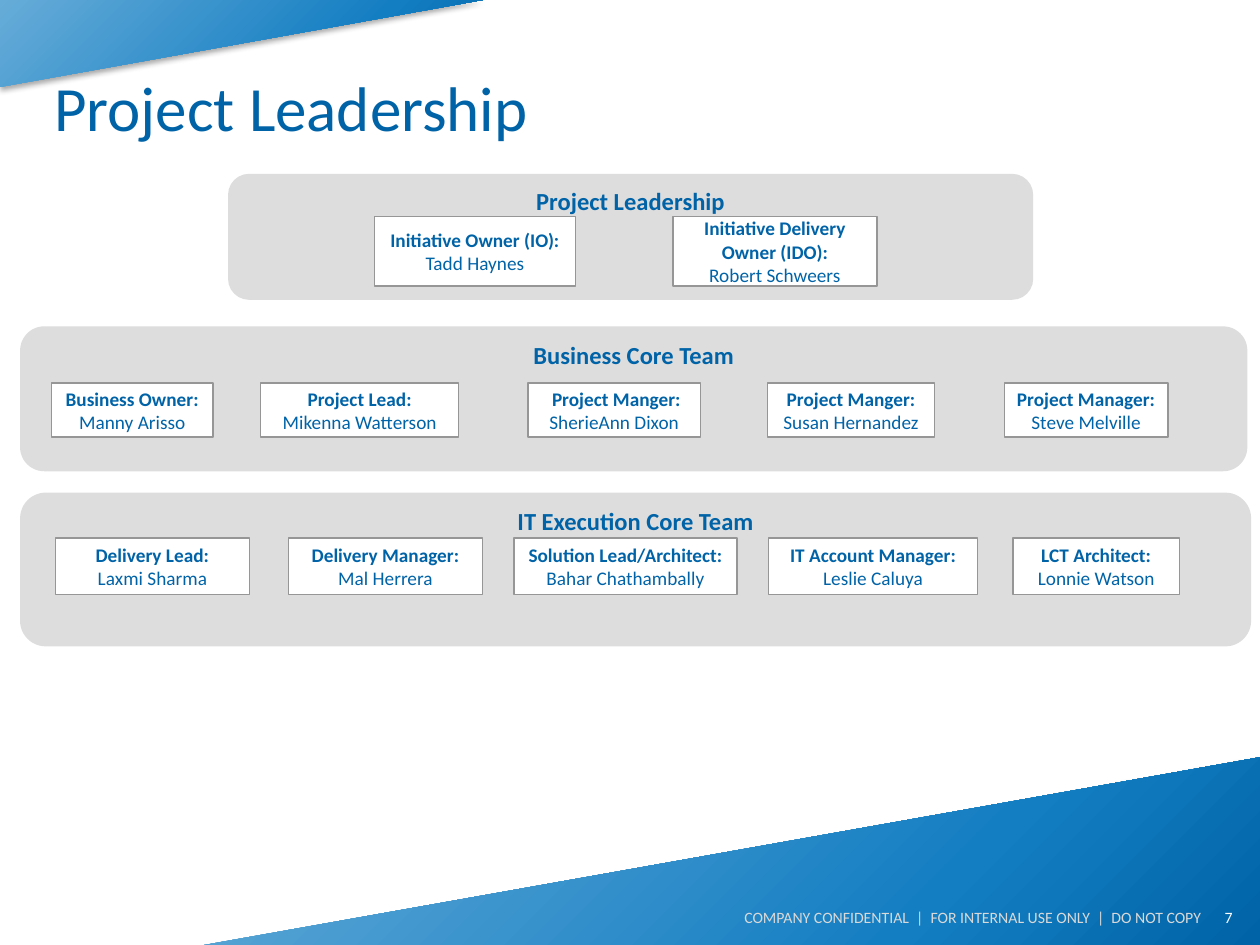
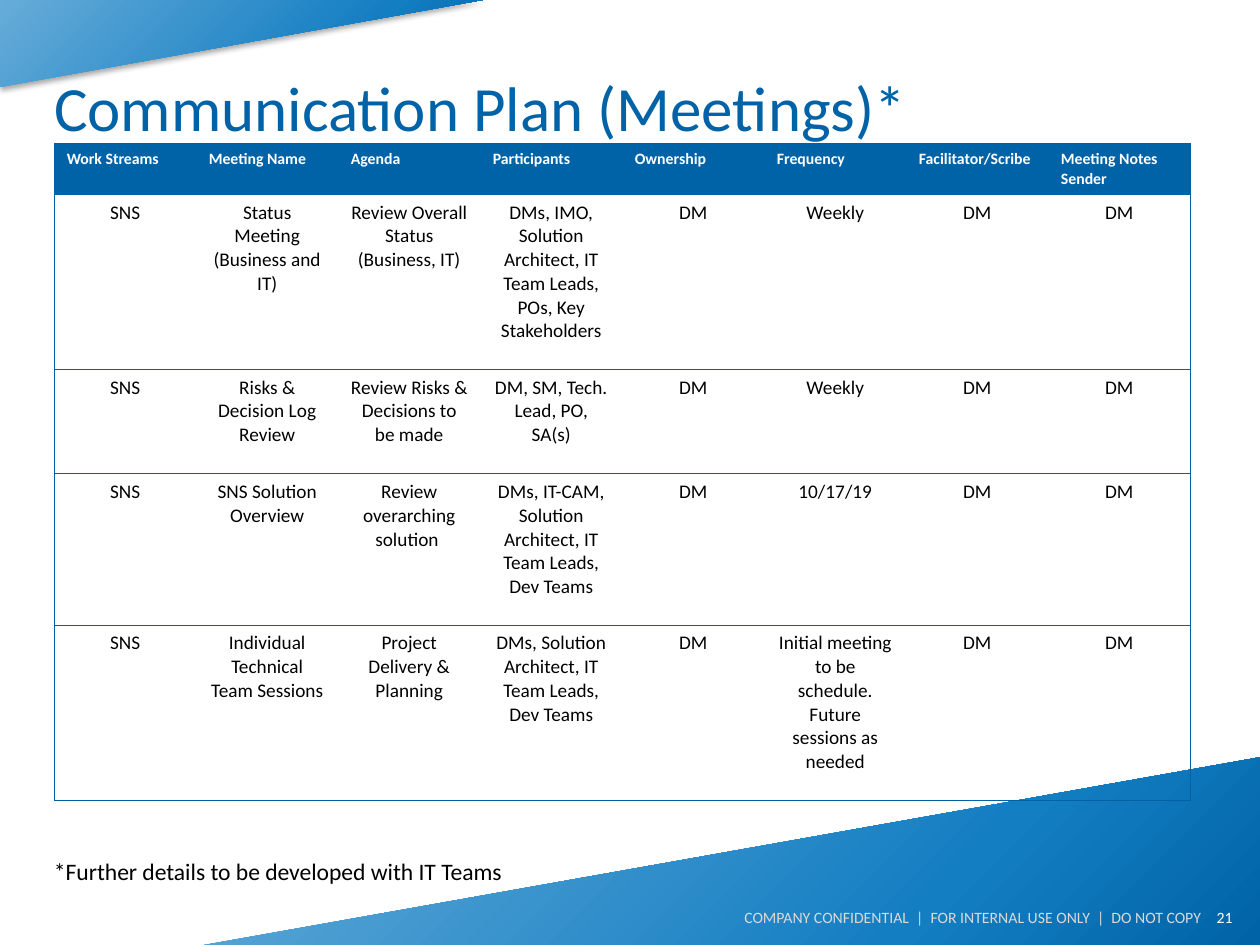
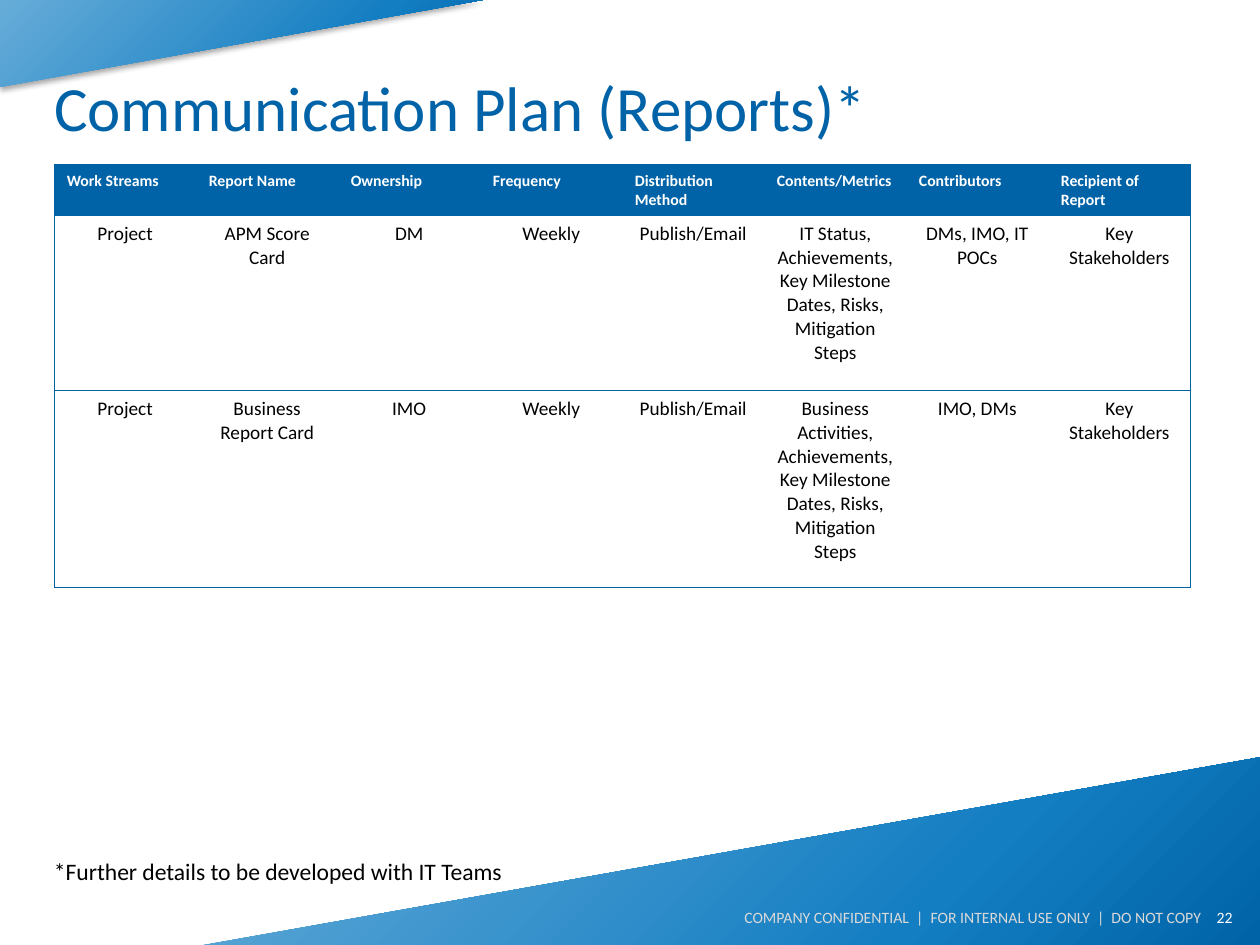
from dataclasses import dataclass

from pptx import Presentation
from pptx.dml.color import RGBColor as RGB
from pptx.enum.shapes import MSO_SHAPE as SHAPE
from pptx.enum.text import MSO_ANCHOR as ANCHOR, MSO_AUTO_SIZE as FIT, PP_ALIGN as ALIGN
from pptx.oxml import parse_xml
from pptx.oxml.ns import nsdecls
from pptx.util import Inches, Pt


@dataclass(frozen=True)
class Theme:
    font: str = "Calibri"
    blue: str = "0063A7"
    mid: str = "147EC2"
    pale: str = "66ACD8"
    rule: str = "0061A3"
    panel: str = "DDDDDD"
    edge: str = "969696"
    white: str = "FFFFFF"
    black: str = "000000"
    muted: str = "D9D9D9"
    title: float = 36
    head: float = 14
    note: float = 13.5
    body: float = 11
    small: float = 9


T = Theme()
NOTICE = "COMPANY CONFIDENTIAL  |  FOR INTERNAL USE ONLY  |  DO NOT COPY"
NOTE = "*Further details to be developed with IT Teams"
BANDS = [
    [(0, 0), (3.83, 0), (0, 0.69)],
    [(10, 6.01), (10, 7.5), (1.62, 7.5)],
]

# Each panel: heading, its box, top and height of its cards,
# then the cards as left edge, width, role and name.
PANELS = [
    ("Business Core Team", (0.16, 2.59, 9.74, 1.15), 0.45, 0.43, [
        (0.25, 1.28, "Business Owner:", "Manny Arisso"),
        (1.91, 1.57, "Project Lead:", "Mikenna Watterson"),
        (4.03, 1.37, " Project Manger:", "SherieAnn Dixon"),
        (5.93, 1.33, " Project Manger: ", "Susan Hernandez"),
        (7.81, 1.3, "Project Manager:", "Steve Melville"),
    ]),
    ("IT Execution Core Team", (0.16, 3.91, 9.77, 1.22), 0.36, 0.45, [
        (0.28, 1.54, "Delivery Lead:", "Laxmi Sharma"),
        (2.13, 1.54, "Delivery Manager:", "Mal Herrera"),
        (3.92, 1.77, "Solution Lead/Architect:", "Bahar Chathambally"),
        (5.94, 1.66, "IT Account Manager:", "Leslie Caluya"),
        (7.88, 1.32, "LCT Architect:", "Lonnie Watson"),
    ]),
    ("Project Leadership", (1.81, 1.38, 6.39, 1), 0.34, 0.55, [
        (1.16, 1.6, "Initiative Owner (IO):", "Tadd Haynes"),
        (3.53, 1.62, "Initiative Delivery Owner (IDO):", "Robert Schweers"),
    ]),
]

MEETINGS = [
    ["Work Streams", "Meeting Name", "Agenda", "Participants", "Ownership",
     "Frequency", "Facilitator/Scribe", "Meeting Notes Sender"],
    ["SNS", "Status Meeting\n(Business and IT)", "Review Overall Status (Business, IT)",
     "DMs, IMO, Solution Architect, IT Team Leads, POs, Key Stakeholders",
     "DM", "Weekly", "DM", "DM"],
    ["SNS", "Risks & Decision Log Review", "Review Risks & Decisions to be made",
     "DM, SM, Tech. Lead, PO, SA(s)", "DM", "Weekly", "DM", "DM"],
    ["SNS", "SNS Solution Overview", "Review overarching solution ",
     "DMs, IT-CAM, Solution Architect, IT Team Leads, Dev Teams",
     "DM", "10/17/19", "DM", "DM"],
    ["SNS", "Individual Technical Team Sessions", "Project Delivery & Planning",
     "DMs, Solution Architect, IT Team Leads, Dev Teams", "DM",
     "Initial meeting to be schedule. Future sessions as needed", "DM", "DM"],
]
REPORTS = [
    ["Work Streams", "Report Name", "Ownership", "Frequency", "Distribution Method",
     "Contents/Metrics", "Contributors", "Recipient of Report"],
    ["Project", "APM Score Card", "DM", "Weekly", "Publish/Email",
     "IT Status, Achievements, Key Milestone Dates, Risks, Mitigation Steps",
     "DMs, IMO, IT POCs", "Key Stakeholders"],
    ["Project", "Business Report Card", "IMO", "Weekly", "Publish/Email",
     "Business Activities, Achievements, Key Milestone Dates, Risks, Mitigation Steps",
     "IMO, DMs", "Key Stakeholders"],
]


def inches(*sizes):
    return [Inches(s) for s in sizes]


def style(paras, size, color, bold=False, align=ALIGN.LEFT):
    for para in paras:
        para.alignment = align
        for run in para.runs:
            font = run.font
            font.name, font.size, font.bold = T.font, Pt(size), bold
            font.color.rgb = RGB.from_string(color)


def add_text(slide, box, text, size, color, align=ALIGN.LEFT, anchor=ANCHOR.TOP, side=0.1):
    frame = slide.shapes.add_textbox(*inches(*box)).text_frame
    frame.word_wrap = True
    frame.vertical_anchor = anchor
    frame.margin_left = frame.margin_right = Inches(side)
    frame.text = text
    style(frame.paragraphs, size, color, align=align)


def add_block(slide, kind, box, fill, edge=None):
    shape = slide.shapes.add_shape(kind, *inches(*box))
    shape.shadow.inherit = False
    shape.fill.solid()
    shape.fill.fore_color.rgb = RGB.from_string(fill)
    if edge:
        shape.line.color.rgb = RGB.from_string(edge)
        shape.line.width = Pt(0.75)
    else:
        shape.line.fill.background()
    return shape


def add_band(slide, points):
    """Draw a wedge with a radial blend and a soft shadow."""
    start, *rest = [inches(*p) for p in points]
    path = slide.shapes.build_freeform(*start)
    path.add_line_segments(rest, close=True)
    band = path.convert_to_shape()
    band.fill.background()
    band.line.fill.background()
    band.shadow.inherit = False
    props = band.element.spPr
    stops = "".join(
        f'<a:gs pos="{pos * 1000}"><a:srgbClr val="{color}"/></a:gs>'
        for pos, color in [(0, T.blue), (30, T.mid), (100, T.pale)])
    blend = parse_xml(
        f'<a:gradFill {nsdecls("a")}><a:gsLst>{stops}</a:gsLst><a:path path="circle">'
        '<a:fillToRect l="100000" t="100000"/></a:path></a:gradFill>')
    props.replace(props.xpath("a:noFill")[0], blend)
    props.xpath("a:effectLst")[0].append(parse_xml(
        f'<a:outerShdw {nsdecls("a")} blurRad="{Pt(3.1)}" dist="{Pt(1.8)}" dir="5400000"'
        ' rotWithShape="0"><a:srgbClr val="000000"><a:alpha val="35000"/></a:srgbClr>'
        '</a:outerShdw>'))
    return band


def share_bands(deck, slide):
    """Move the bands to the master, behind all else."""
    tree = deck.slide_master.shapes.element
    for place, points in enumerate(BANDS, 2):
        tree.insert(place, add_band(slide, points).element)


def add_page(deck, title, number):
    slide = deck.slides.add_slide(deck.slide_layouts[5])
    head = slide.shapes.title
    head.left, head.top, head.width, head.height = inches(0.43, 0.3, 9.14, 1.09)
    frame = head.text_frame
    frame.text = title
    frame.auto_size = FIT.NONE
    frame.vertical_anchor = ANCHOR.MIDDLE
    frame.margin_left = 0
    style(frame.paragraphs, T.title, T.blue)
    add_text(slide, (9.19, 7.08, 0.69, 0.4), str(number), T.small, T.white,
             ALIGN.RIGHT, ANCHOR.MIDDLE)
    add_text(slide, (4.33, 7.2, 5.2, 0.16), NOTICE, T.small, T.muted,
             ALIGN.RIGHT, ANCHOR.MIDDLE, side=0)
    return slide


def add_card(slide, box, role, name):
    card = add_block(slide, SHAPE.RECTANGLE, box, T.white, T.edge)
    frame = card.text_frame
    frame.word_wrap = True
    frame.vertical_anchor = ANCHOR.MIDDLE
    frame.text = f"{role}\n{name}"
    first, last = frame.paragraphs
    style([first], T.body, T.blue, True, ALIGN.CENTER)
    style([last], T.body, T.blue, False, ALIGN.CENTER)


def add_panel(slide, head, box, top, high, cards):
    panel = add_block(slide, SHAPE.ROUNDED_RECTANGLE, box, T.panel)
    frame = panel.text_frame
    frame.word_wrap = False
    frame.vertical_anchor = ANCHOR.TOP
    frame.text = head
    style(frame.paragraphs, T.head, T.blue, True, ALIGN.CENTER)
    x, y = box[:2]
    for left, wide, role, name in cards:
        add_card(slide, (x + left, y + top, wide, high), role, name)


def rule_cell(cell, sides):
    props = cell._tc.get_or_add_tcPr()
    for place, side in enumerate(sides):
        props.insert(place, parse_xml(
            f'<a:ln{side} {nsdecls("a")} w="{Pt(0.75)}"><a:solidFill>'
            f'<a:srgbClr val="{T.rule}"/></a:solidFill></a:ln{side}>'))


def fill_cell(cell, text, is_head):
    cell.text = text
    paras = cell.text_frame.paragraphs
    if is_head:
        cell.fill.solid()
        cell.fill.fore_color.rgb = RGB.from_string(T.blue)
        style(paras, T.small, T.white, True)
    else:
        cell.fill.background()
        style(paras, T.body, T.black, align=ALIGN.CENTER)


def add_grid(slide, box, rows, heights):
    count = len(rows[0])
    frame = slide.shapes.add_table(len(rows), count, *inches(*box))
    plain = "{2D5ABB26-0587-4C30-8999-92F81FD0307C}"
    frame.element.xpath(".//a:tableStyleId")[0].text = plain
    table = frame.table
    table.horz_banding = False
    for col in table.columns:
        col.width = Inches(box[2] / count)
    for r, (texts, high) in enumerate(zip(rows, heights)):
        table.rows[r].height = Inches(high)
        for c, text in enumerate(texts):
            cell = table.cell(r, c)
            fill_cell(cell, text, r == 0)
            ends = ["L"] * (c == 0) + ["R"] * (c == count - 1)
            rule_cell(cell, ends + ["T", "B"])


def add_plan(deck, title, number, top, rows, heights):
    slide = add_page(deck, title, number)
    add_text(slide, (0.33, 6.75, 8.01, 0.33), NOTE, T.note, T.black)
    add_grid(slide, (0.43, top, 9.02, sum(heights)), rows, heights)


def main():
    deck = Presentation()
    deck.slide_width, deck.slide_height = inches(10, 7.5)
    team = add_page(deck, "Project Leadership", 7)
    share_bands(deck, team)
    for panel in PANELS:
        add_panel(team, *panel)
    add_plan(deck, "Communication Plan (Meetings)*", 21, 1.14, MEETINGS,
             [0.4, 1.39, 0.83, 1.2, 1.39])
    add_plan(deck, "Communication Plan (Reports)*", 22, 1.31, REPORTS,
             [0.4, 1.39, 1.56])
    deck.save("out.pptx")


if __name__ == "__main__":
    main()
